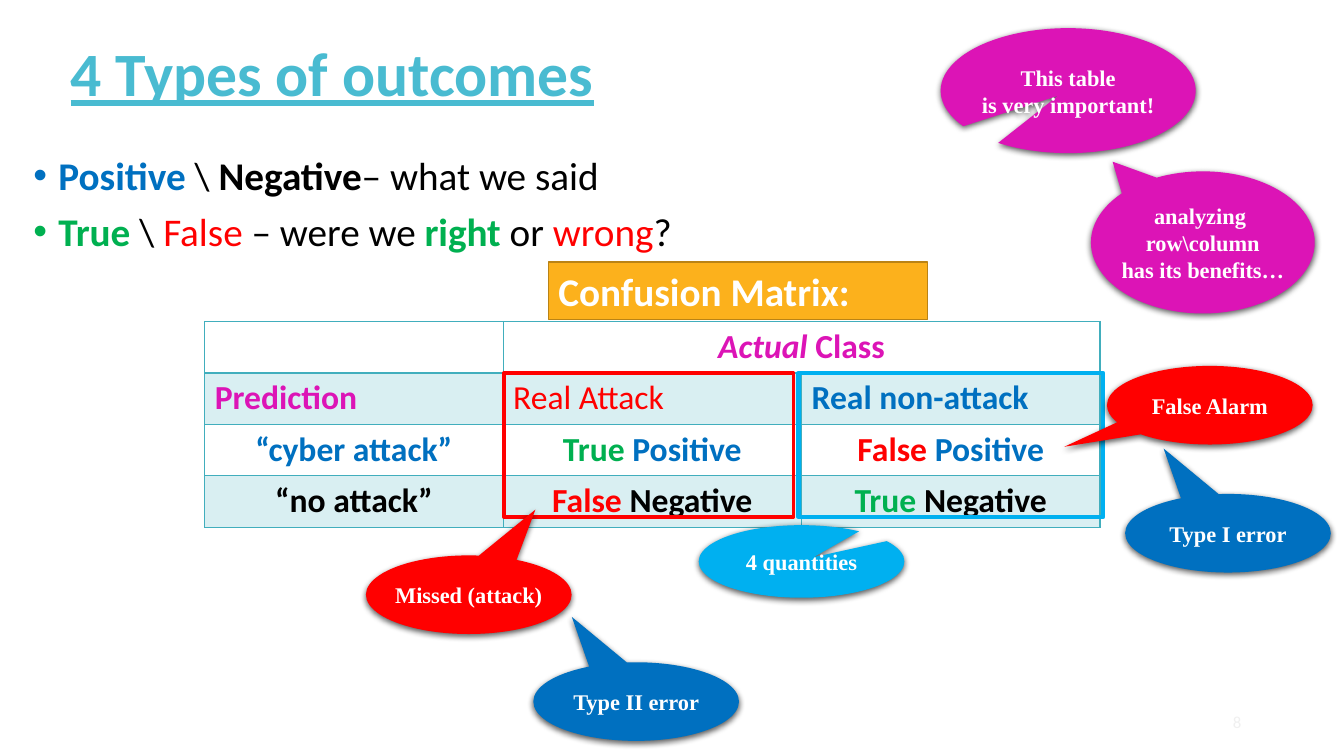
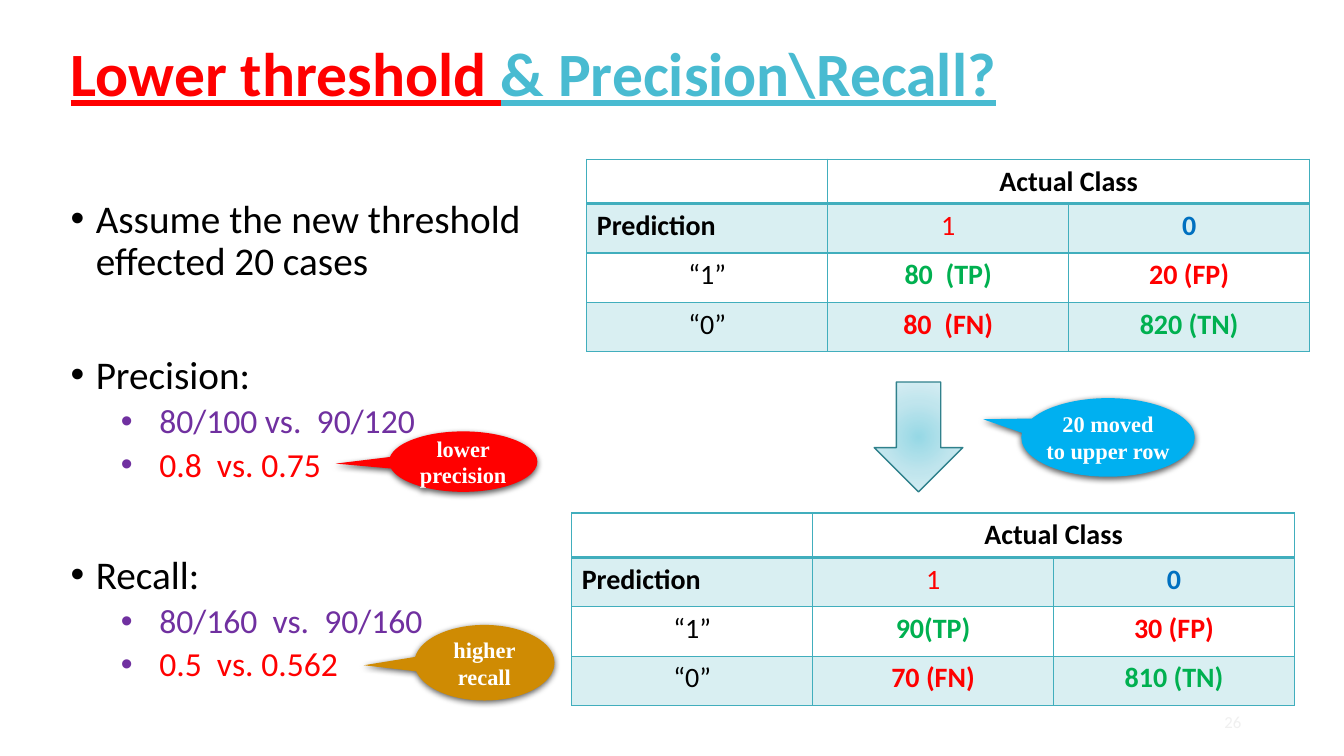
from lxml.etree import SubElement
from pptx import Presentation
from pptx.dml.color import RGBColor
from pptx.enum.shapes import MSO_SHAPE as SHAPE
from pptx.enum.text import MSO_ANCHOR as ANCHOR, MSO_AUTO_SIZE as AUTO, PP_ALIGN as ALIGN
from pptx.oxml import parse_xml
from pptx.oxml.ns import nsdecls, qn
from pptx.util import Inches, Pt

C = {"title": "49BBD1", "blue": "0070C0", "green": "00B050", "red": "FF0000",
     "black": "000000", "white": "FFFFFF", "pink": "DC14B6", "sky": "00B0F0",
     "purple": "7030A0", "ochre": "CF8B03", "amber": "FCB11C", "amber_line": "BA8315",
     "grid": "41AEBD", "band": "D9EFF2", "arrow_line": "30818C", "number": "F0F0F0"}
ARROW_STOPS = [(0, "96D8E5"), (50, "C0E5ED"), (100, "E0F2F6")]
SUB_INDENT, MAIN_INDENT = (0.88, -0.38), (0.25, -0.25)

# Content: a run is (text, colour, style letters); a bullet is (level, space before, runs)
OUTCOMES = {
    "title": [("4 Types of outcomes", "title", "bu")],
    "number": "8",
    "body_at": (0.23, 1.5, 11.66, 1.3),
    "bullets": [
        (0, 0, [("Positive", "blue", "b"), (" \\ ", "black", ""), ("Negative", "black", "b"),
                ("– what we said", "black", "")]),
        (0, 10, [("True", "green", "b"), (" \\ ", "black", ""), ("False", "red", ""),
                 (" – were we ", "black", ""), ("right", "green", "b"), (" or ", "black", ""),
                 ("wrong", "red", ""), ("?", "black", "")]),
    ],
}
CONFUSION = [
    [[], [("Actual", "pink", "bi"), (" Class", "pink", "b")], None],
    [[("Prediction", "pink", "b")], [("Real Attack", "red", "")],
     [("Real non-attack", "blue", "b")]],
    [[("“cyber attack”", "blue", "b")], [("True ", "green", "b"), ("Positive", "blue", "b")],
     [("False ", "red", "b"), ("Positive", "blue", "b")]],
    [[("“no attack”", "black", "b")], [("False ", "red", "b"), ("Negative", "black", "b")],
     [("True ", "green", "b"), ("Negative", "black", "b")]],
]
COLUMN_FRAMES = [((5, 3.7, 2.87, 1.43), "red", 2.75), ((7.92, 3.7, 3.02, 1.43), "sky", 3)]
# Callouts: position, pointer tip, fill, lines
OUTCOME_CALLOUTS = [
    ((10.98, 3.63, 2.04, 0.78), (-0.708, 0.529), "red", ["False Alarm"]),
    ((3.63, 5.51, 2.04, 0.78), (0.324, -1.083), "red", ["Missed (attack)"]),
    ((11.16, 4.9, 2.04, 0.78), (-0.313, -1.077), "blue", ["Type I error"]),
    ((5.29, 6.57, 2.04, 0.78), (-0.313, -1.077), "blue", ["Type II error"]),
    ((9.33, 0.28, 2.53, 1.24), (-0.04, 0.041), "pink", ["This table", "is very important!"]),
    ((6.93, 5.21, 2.04, 0.72), (0.059, -0.059), "sky", ["4 quantities"]),
    ((10.82, 1.7, 2.22, 1.41), (-0.403, -0.568), "pink",
     ["analyzing ", "row\\column", "has its benefits…"]),
]

THRESHOLD = {
    "title": [("Lower threshold ", "red", "bu"), ("& Precision\\Recall?", "title", "bu")],
    "number": "26",
    "body_at": (0.6, 1.93, 4.9, 5.13),
    "bullets": [
        (0, 0, [("Assume the new threshold effected 20 cases", "black", "")]),
        (0, 50.8, [("Precision:", "black", "")]),
        (1, 5, [("80/100 vs.  90/120", "purple", "")]),
        (1, 5, [("0.8  vs. 0.75", "red", "")]),
        (0, 50.8, [("Recall:", "black", "")]),
        (1, 5, [("80/160  vs.  90/160", "purple", "")]),
        (1, 5, [("0.5  vs. 0.562", "red", "")]),
    ],
}
# Count tables: left, top, then TP, FP, FN, TN
COUNT_TABLES = [(5.82, 1.58, "80  (TP)", "20 (FP)", "80  (FN)", "820 (TN)"),
                (5.67, 5.09, "90(TP)", "30 (FP)", "70 (FN)", "810 (TN)")]
THRESHOLD_CALLOUTS = [
    ((4.11, 6.2, 1.39, 0.75), (-0.861, 0.033), "ochre", ["higher", "recall"]),
    ((3.86, 4.28, 1.47, 0.6), (-0.861, 0.033), "red", ["lower", "precision"]),
    ((10.13, 3.95, 1.72, 0.78), (-0.72, -0.231), "sky", ["20 moved", "to upper row"]),
]


def rgb(name):
    return RGBColor.from_string(C[name])


def inches(values):
    return [Inches(v) for v in values]


def write(p, runs, size, font="Calibri", align=ALIGN.LEFT, spacing=None, before=0):
    p.alignment = align
    p.space_before = Pt(before)
    if spacing:
        p.line_spacing = spacing
    for text, color, style in runs:
        r = p.add_run()
        r.text = text
        f = r.font
        f.name, f.size = font, Pt(size)
        f.color.rgb = rgb(color)
        f.bold, f.italic, f.underline = "b" in style, "i" in style, "u" in style


def add_bullet(p, indent, color):
    pPr = p._p.get_or_add_pPr()
    left, first = inches(indent)
    pPr.set("marL", str(left))
    pPr.set("indent", str(first))
    SubElement(SubElement(pPr, qn("a:buClr")), qn("a:srgbClr"), val=C[color])
    SubElement(pPr, qn("a:buFont"), typeface="Arial")
    SubElement(pPr, qn("a:buChar"), char="•")


def place(sp, at):
    sp.left, sp.top, sp.width, sp.height = inches(at)


def add_slide(prs, content):
    s = prs.slides.add_slide(prs.slide_layouts[1])
    title, body = s.placeholders
    place(title, (0.6, 0, 12.38, 1.52))
    title.text_frame.vertical_anchor = ANCHOR.MIDDLE
    title.text_frame.auto_size = AUTO.NONE
    write(title.text_frame.paragraphs[0], content["title"], 44, spacing=0.9)

    place(body, content["body_at"])
    tf = body.text_frame
    tf.auto_size = AUTO.NONE
    for i, (level, before, runs) in enumerate(content["bullets"]):
        p = tf.add_paragraph() if i else tf.paragraphs[0]
        p.level = level
        write(p, runs, 24 if level else 28, spacing=0.9, before=before)
        add_bullet(p, SUB_INDENT if level else MAIN_INDENT,
                   "purple" if level else runs[0][1])

    number = s.shapes.add_textbox(*inches((11.41, 6.98, 1, 0.36)))
    number.text_frame.word_wrap = True
    number.text_frame.vertical_anchor = ANCHOR.MIDDLE
    write(number.text_frame.paragraphs[0], [(content["number"], "number", "")], 12,
          align=ALIGN.RIGHT)
    return s


def add_box(s, kind, at, fill=None, line=None, width=1):
    sp = s.shapes.add_shape(kind, *inches(at))
    sp.shadow.inherit = False
    if fill:
        sp.fill.solid()
        sp.fill.fore_color.rgb = rgb(fill)
    else:
        sp.fill.background()
    if line:
        sp.line.color.rgb = rgb(line)
        sp.line.width = Pt(width)
    else:
        sp.line.fill.background()
    return sp


def add_callout(s, at, tip, fill, lines):
    sp = add_box(s, SHAPE.OVAL_CALLOUT, at, fill)
    sp.adjustments[0], sp.adjustments[1] = tip
    shadow = SubElement(sp._element.spPr.find(qn("a:effectLst")), qn("a:outerShdw"),
                        blurRad=str(Pt(4.5)), dist=str(Pt(1.5)), dir="5400000",
                        algn="ctr", rotWithShape="0")
    color = SubElement(shadow, qn("a:srgbClr"), val=C["black"])
    SubElement(color, qn("a:alpha"), val="63000")
    tf = sp.text_frame
    tf.word_wrap = False
    tf.vertical_anchor = ANCHOR.MIDDLE
    for i, line in enumerate(lines):
        p = tf.add_paragraph() if i else tf.paragraphs[0]
        write(p, [(line, "white", "b")], 16, font="Times New Roman", align=ALIGN.CENTER)


def set_borders(cell, bottom):
    tcPr = cell._tc.get_or_add_tcPr()
    for i, side in enumerate(("lnL", "lnR", "lnT", "lnB")):
        width = bottom if side == "lnB" else 1
        tcPr.insert(i, parse_xml(
            f'<a:{side} {nsdecls("a")} w="{Pt(width)}"><a:solidFill>'
            f'<a:srgbClr val="{C["grid"]}"/></a:solidFill></a:{side}>'))


def add_matrix(s, left, top, col_width, row_heights, rows, size, left_cells):
    """Table with a merged class heading; left_cells are the left-aligned ones."""
    at = inches((left, top, 3 * col_width, sum(row_heights)))
    table = s.shapes.add_table(len(rows), 3, *at).table
    for col in table.columns:
        col.width = Inches(col_width)
    table.cell(0, 1).merge(table.cell(0, 2))
    for i, (row, height) in enumerate(zip(rows, row_heights)):
        table.rows[i].height = Inches(height)
        for j, runs in enumerate(row):
            cell = table.cell(i, j)
            if i % 2:
                cell.fill.solid()
                cell.fill.fore_color.rgb = rgb("band")
            else:
                cell.fill.background()
            set_borders(cell, 1 if i else 2)
            if runs:
                write(cell.text_frame.paragraphs[0], runs, size,
                      align=ALIGN.LEFT if (i, j) in left_cells else ALIGN.CENTER)


def count_rows(tp, fp, fn, tn):
    return [
        [[], [("Actual Class", "black", "b")], None],
        [[("Prediction", "black", "b")], [("1", "red", "")], [("0", "blue", "b")]],
        [[("“1”", "black", "")], [(tp, "green", "b")], [(fp, "red", "b")]],
        [[("“0”", "black", "")], [(fn, "red", "b")], [(tn, "green", "b")]],
    ]


def add_down_arrow(s):
    sp = add_box(s, SHAPE.DOWN_ARROW, (8.67, 3.79, 0.88, 1.09), line="arrow_line")
    spPr = sp._element.spPr
    stops = "".join(f'<a:gs pos="{pos * 1000}"><a:srgbClr val="{color}"/></a:gs>'
                    for pos, color in ARROW_STOPS)
    spPr.replace(spPr.find(qn("a:noFill")), parse_xml(
        f'<a:gradFill {nsdecls("a")}><a:gsLst>{stops}</a:gsLst><a:path path="circle">'
        '<a:fillToRect l="50000" t="50000" r="50000" b="50000"/></a:path></a:gradFill>'))


def build_outcomes(prs):
    s = add_slide(prs, OUTCOMES)
    add_matrix(s, 2.03, 3.19, 2.96, [0.51] * 4, CONFUSION, 24, {(1, 0), (1, 1), (1, 2)})
    for at, color, width in COLUMN_FRAMES:
        add_box(s, SHAPE.RECTANGLE, at, line=color, width=width)
    heading = add_box(s, SHAPE.RECTANGLE, (5.44, 2.6, 3.76, 0.57), "amber", "amber_line")
    heading.text_frame.vertical_anchor = ANCHOR.TOP
    write(heading.text_frame.paragraphs[0], [("Confusion Matrix:", "white", "b")], 28)
    for callout in OUTCOME_CALLOUTS:
        add_callout(s, *callout)


def build_threshold(prs):
    s = add_slide(prs, THRESHOLD)
    for left, top, *counts in COUNT_TABLES:
        add_matrix(s, left, top, 2.39, [0.44] + [0.49] * 3, count_rows(*counts), 20, {(1, 0)})
    add_down_arrow(s)
    for callout in THRESHOLD_CALLOUTS:
        add_callout(s, *callout)


def main():
    prs = Presentation()
    prs.slide_width, prs.slide_height = inches((13.33, 7.5))
    build_outcomes(prs)
    build_threshold(prs)
    prs.save("out.pptx")


if __name__ == "__main__":
    main()
